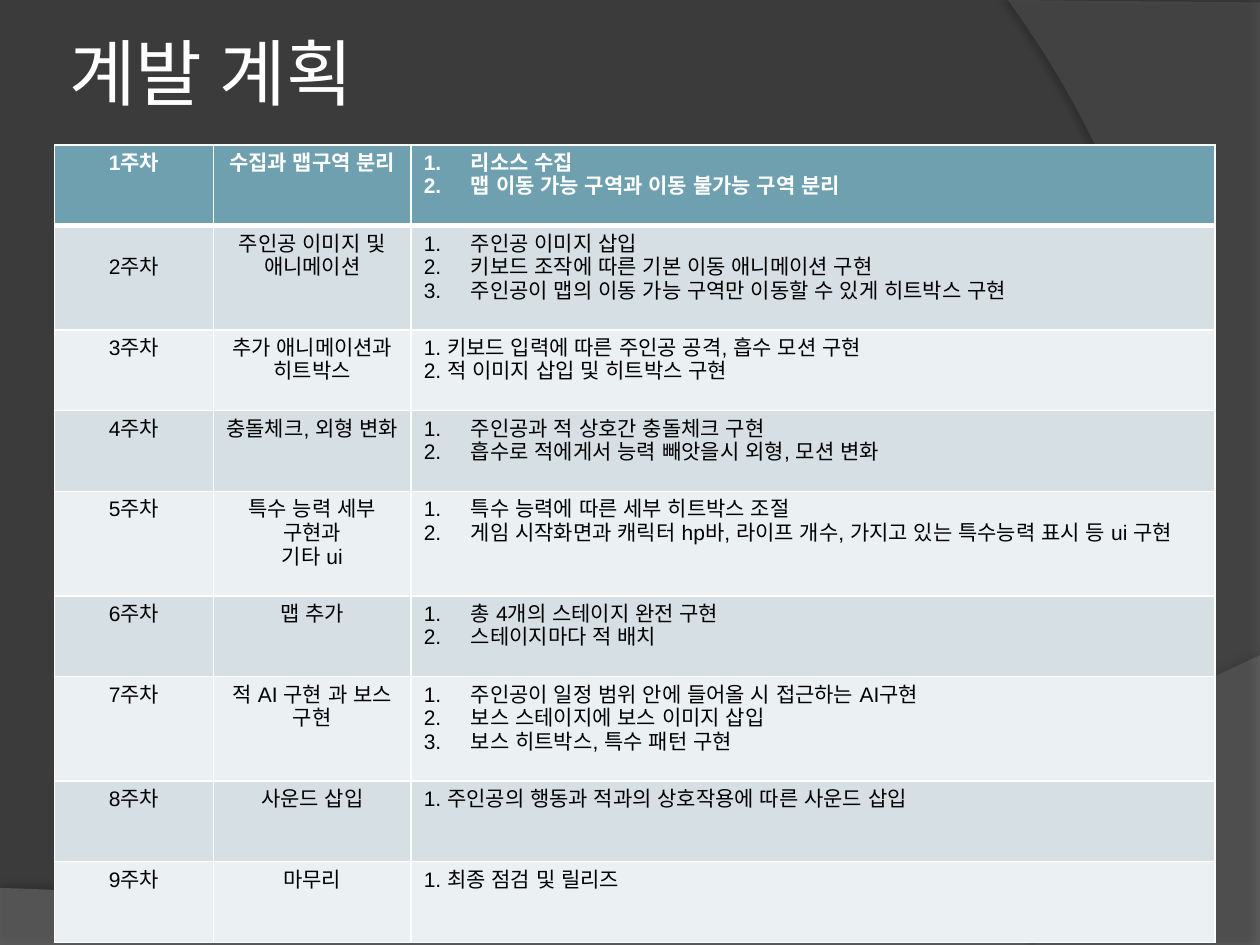
from lxml import etree
from pptx import Presentation
from pptx.dml.color import RGBColor
from pptx.enum.lang import MSO_LANGUAGE_ID
from pptx.enum.text import MSO_ANCHOR, PP_ALIGN
from pptx.oxml.ns import qn
from pptx.util import Cm, Pt

MIDDLE = MSO_ANCHOR.MIDDLE
CENTER, LEFT = PP_ALIGN.CENTER, PP_ALIGN.LEFT
KOREAN = MSO_LANGUAGE_ID.KOREAN

# Content
TITLE = "계발 계획"
# week, topic lines, tasks, whether the tasks get automatic numbers
PLAN = [
    ("1주차", ["수집과 맵구역 분리"],
     ["리소스 수집", "맵 이동 가능 구역과 이동 불가능 구역 분리"], True),
    ("2주차", ["주인공 이미지 및 애니메이션"],
     ["주인공 이미지 삽입", "키보드 조작에 따른 기본 이동 애니메이션 구현",
      "주인공이 맵의 이동 가능 구역만 이동할 수 있게 히트박스 구현"], True),
    ("3주차", ["추가 애니메이션과 히트박스"],
     ["1. 키보드 입력에 따른 주인공 공격, 흡수 모션 구현",
      "2. 적 이미지 삽입 및 히트박스 구현"], False),
    ("4주차", ["충돌체크, 외형 변화"],
     ["주인공과 적 상호간 충돌체크 구현",
      "흡수로 적에게서 능력 빼앗을시 외형, 모션 변화"], True),
    ("5주차", ["특수 능력 세부 구현과", "기타 ui"],
     ["특수 능력에 따른 세부 히트박스 조절",
      "게임 시작화면과 캐릭터 hp바, 라이프 개수, 가지고 있는 특수능력 표시 등 ui 구현"], True),
    ("6주차", ["맵 추가"],
     ["총 4개의 스테이지 완전 구현", "스테이지마다 적 배치"], True),
    ("7주차", ["적 AI 구현 과 보스 구현"],
     ["주인공이 일정 범위 안에 들어올 시 접근하는 AI구현",
      "보스 스테이지에 보스 이미지 삽입", "보스 히트박스, 특수 패턴 구현"], True),
    ("8주차", ["사운드 삽입"],
     ["1. 주인공의 행동과 적과의 상호작용에 따른 사운드 삽입"], False),
    ("9주차", ["마무리"], ["1. 최종 점검 및 릴리즈"], False),
]
LOWERED_WEEK = "2주차"  # this label sits one line lower in its cell
TALL_WEEKS = {"2주차", "5주차", "7주차"}  # these rows hold three lines

COLORS = {"background": "3B3B3B", "wave": "7F7F7F", "arc": "5E5E5E",
          "white": "FFFFFF", "black": "000000",
          "header": "6EA0B0", "odd": "D5DFE4", "even": "EBF0F2"}

# Measures in cm
SLIDE_W, SLIDE_H = 25.4, 19.05
COLUMNS = [3.2, 3.99, 16.2]
ROW_H, TALL_ROW_H = 1.63, 2.1
INDENT = 0.95

# Background bands: straight points, then a curve from the last of them
BANDS = [
    {"color": "wave", "alpha": 45, "shadow": (35, 3.5, 270),
     "points": [(0, 17.9), (0, SLIDE_H), (SLIDE_W, SLIDE_H), (SLIDE_W, 13.21)],
     "curve": [(14.2, 18.52), (9.93, 18.26), (0, 17.9)]},
    {"color": "arc", "alpha": 40, "shadow": (45, 4, 180),
     "points": [(SLIDE_W, 0.05), (SLIDE_W, SLIDE_H), (20.85, SLIDE_H)],
     "curve": [(23.75, 15.72), (25.86, 7.62), (20.32, 0)]},
]


def rgb(name):
    return RGBColor.from_string(COLORS[name])


def bezier(start, controls, steps=40):
    a, b, c, d = start, *controls
    for step in range(1, steps + 1):
        t = step / steps
        u = 1 - t
        yield tuple(u**3 * a[i] + 3 * u * u * t * b[i] + 3 * u * t * t * c[i]
                    + t**3 * d[i] for i in (0, 1))


def add_color(parent, name, alpha):
    color = etree.SubElement(parent, qn("a:srgbClr"), val=COLORS[name])
    etree.SubElement(color, qn("a:alpha"), val=str(alpha * 1000))


def add_band(slide, band):
    outline = band["points"] + list(bezier(band["points"][-1], band["curve"]))
    points = [(Cm(x), Cm(y)) for x, y in outline]
    builder = slide.shapes.build_freeform(*points[0])
    builder.add_line_segments(points[1:], close=True)
    shape = builder.convert_to_shape()
    shape.shadow.inherit = False
    shape.line.fill.background()
    shape.fill.solid()
    shape.fill.fore_color.rgb = rgb(band["color"])
    fill_color = shape._element.spPr.find(qn("a:solidFill"))[0]
    etree.SubElement(fill_color, qn("a:alpha"), val=str(band["alpha"] * 1000))
    alpha, distance, angle = band["shadow"]
    effects = shape._element.spPr.find(qn("a:effectLst"))
    shadow = etree.SubElement(effects, qn("a:outerShdw"), blurRad=str(Pt(4)),
                              dist=str(Pt(distance)), dir=str(angle * 60000),
                              algn="ctr", rotWithShape="0")
    add_color(shadow, "black", alpha)


def add_run(paragraph, text, font, size, color, bold=False):
    run = paragraph.add_run()
    run.text = text
    run.font.name = font
    run.font.size = Pt(size)
    run.font.bold = bold
    run.font.color.rgb = rgb(color)
    run.font.language_id = KOREAN
    etree.SubElement(run._r.get_or_add_rPr(), qn("a:ea"), typeface=font)


def set_borders(cell, top, bottom):
    properties = cell._tc.get_or_add_tcPr()
    widths = {"a:lnL": 1, "a:lnR": 1, "a:lnT": top, "a:lnB": bottom}
    for place, (side, width) in enumerate(widths.items()):
        line = etree.Element(qn(side), w=str(Pt(width)))
        fill = etree.SubElement(line, qn("a:solidFill"))
        etree.SubElement(fill, qn("a:srgbClr"), val=COLORS["white"])
        properties.insert(place, line)


def fill_cell(cell, lines, row, align, numbered=False):
    header = row == 0
    cell.fill.solid()
    cell.fill.fore_color.rgb = rgb("header" if header else "odd" if row % 2 else "even")
    set_borders(cell, top=3 if row == 1 else 1, bottom=3 if header else 1)
    frame = cell.text_frame
    for number, line in enumerate(lines):
        paragraph = frame.add_paragraph() if number else frame.paragraphs[0]
        paragraph.alignment = align
        if numbered:
            properties = paragraph._p.get_or_add_pPr()
            properties.set("marL", str(Cm(INDENT)))
            properties.set("indent", str(-Cm(INDENT)))
            etree.SubElement(properties, qn("a:buAutoNum"), type="arabicPeriod")
        add_run(paragraph, line, "Arial", 12, "white" if header else "black", header)


def main():
    deck = Presentation()
    deck.slide_width, deck.slide_height = Cm(SLIDE_W), Cm(SLIDE_H)
    slide = deck.slides.add_slide(deck.slide_layouts[6])
    slide.background.fill.solid()
    slide.background.fill.fore_color.rgb = rgb("background")
    for band in BANDS:
        add_band(slide, band)

    # Title
    title = slide.shapes.add_textbox(Cm(1.27), Cm(0.76), Cm(22.86), Cm(1.37)).text_frame
    title.word_wrap = True
    title.vertical_anchor = MIDDLE
    title.margin_left = title.margin_right = Cm(0.13)
    add_run(title.paragraphs[0], TITLE, "Karla", 41.4, "white")

    # Weekly plan
    heights = [TALL_ROW_H if week in TALL_WEEKS else ROW_H for week, *_ in PLAN]
    table = slide.shapes.add_table(len(PLAN), len(COLUMNS), Cm(1.1), Cm(2.92),
                                   Cm(sum(COLUMNS)), Cm(sum(heights))).table
    for column, width in zip(table.columns, COLUMNS):
        column.width = Cm(width)
    for row, (week, topic, tasks, numbered) in enumerate(PLAN):
        table.rows[row].height = Cm(heights[row])
        fill_cell(table.cell(row, 0), [week], row, CENTER)
        fill_cell(table.cell(row, 1), topic, row, CENTER)
        fill_cell(table.cell(row, 2), tasks, row, LEFT, numbered)
        if week == LOWERED_WEEK:
            table.cell(row, 0).margin_top = Cm(0.6)

    deck.save("out.pptx")


if __name__ == "__main__":
    main()
